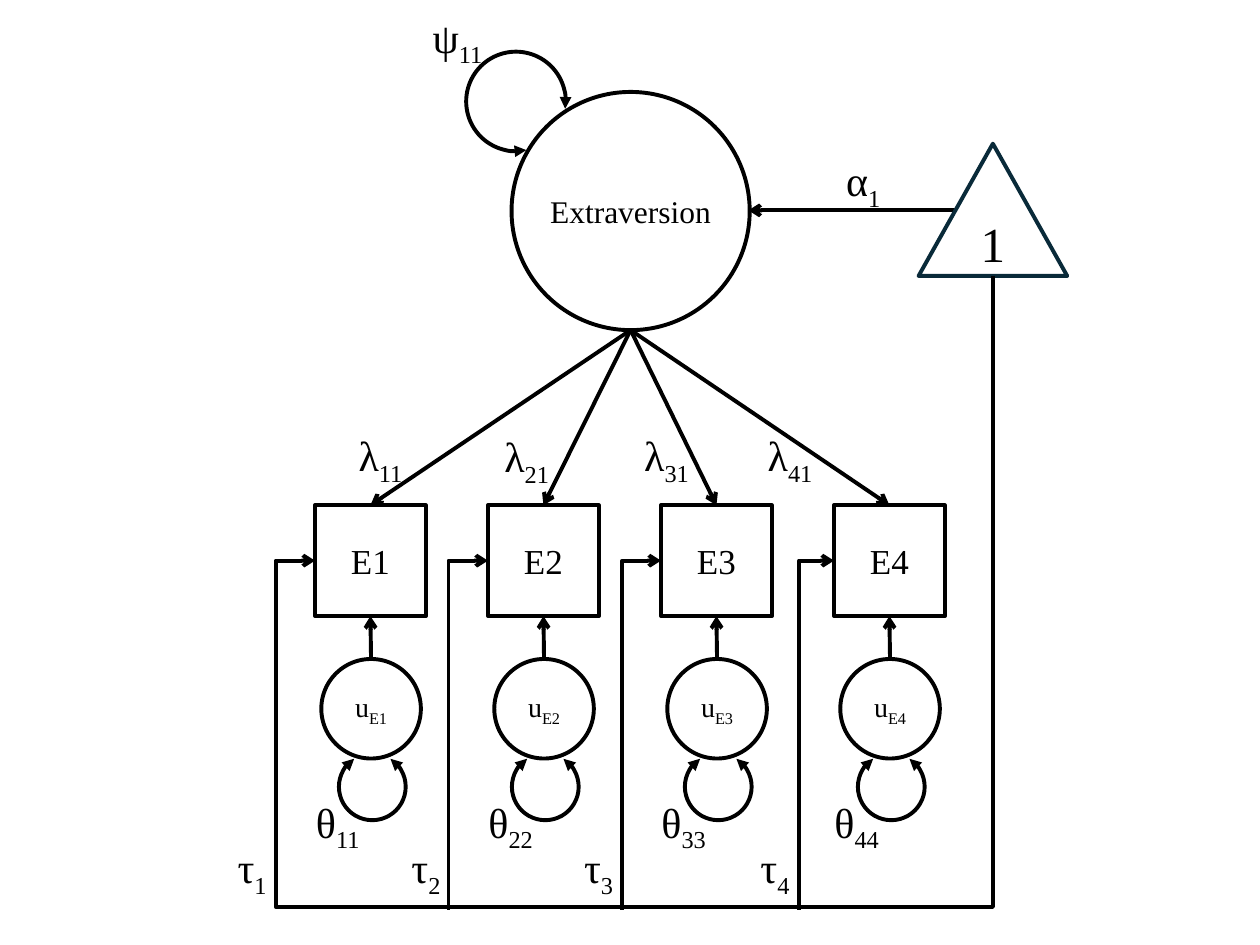
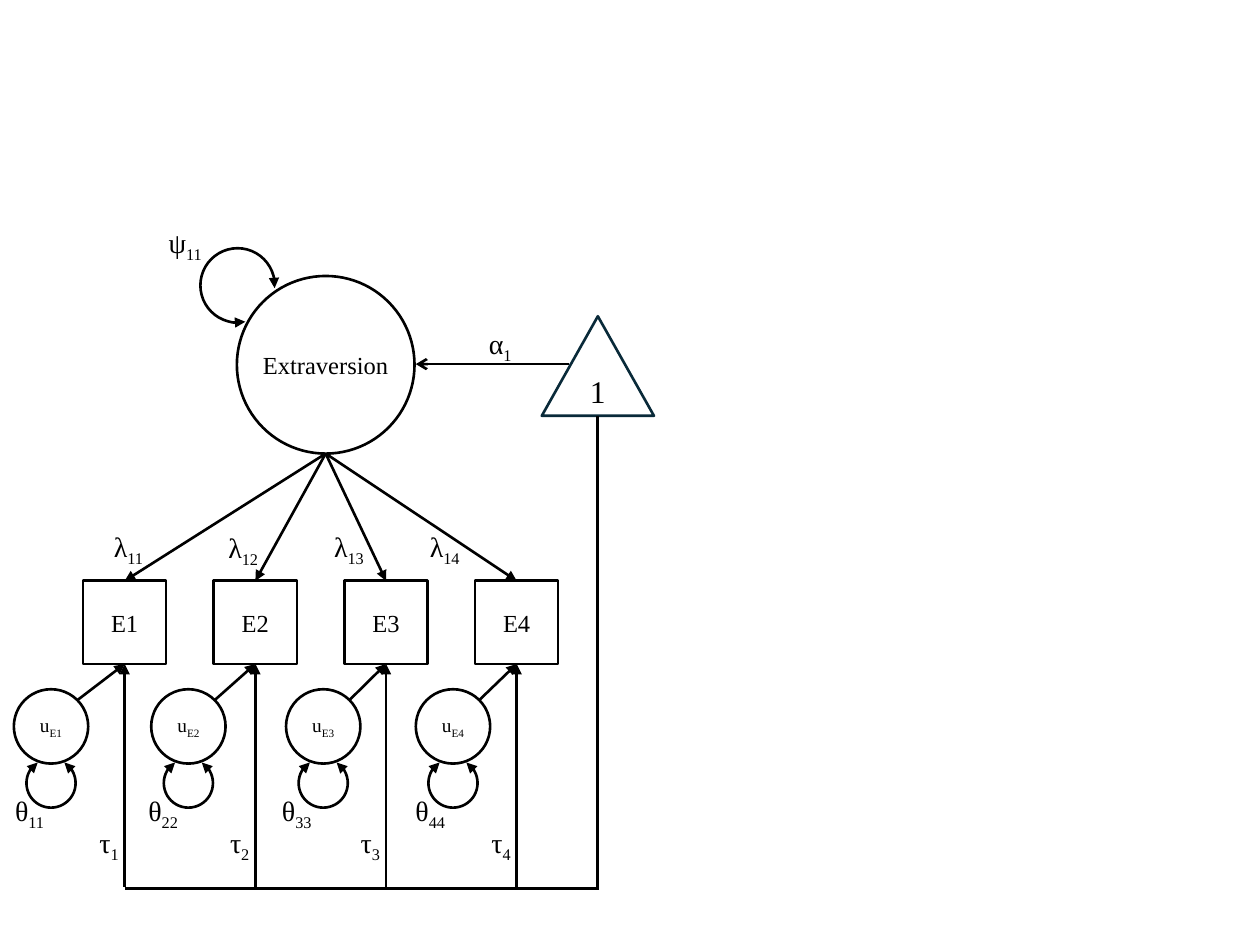
from lxml import etree
from pptx import Presentation
from pptx import util as u
from pptx.dml.color import RGBColor
from pptx.enum import shapes, text
from pptx.oxml import ns

COLORS = {"ink": "000000", "paper": "FFFFFF", "constant": "092A39"}
FONT = "Times New Roman"
SHAPE = shapes.MSO_SHAPE
LINK = shapes.MSO_CONNECTOR

deck = Presentation()
deck.slide_width, deck.slide_height = u.Inches(10), u.Inches(7.5)
COL, ROW = deck.slide_width / 100, deck.slide_height / 75  # grid of 100 x 75


def draw(page, kind, place, weight, color="ink", head=None, tail=None):
    """Shapes take left, top, width, height; connectors take both end points."""
    spots = [int(value * step) for value, step in zip(place, (COL, ROW, COL, ROW))]
    is_link = isinstance(kind, LINK)
    if is_link:
        item = page.shapes.add_connector(kind, *spots)
    else:
        item = page.shapes.add_shape(kind, *spots)
        item.shadow.inherit = False
        if kind == SHAPE.ARC:
            item.fill.background()
        else:
            item.fill.solid()
            item.fill.fore_color.rgb = RGBColor.from_string(COLORS["paper"])
    item.line.width = u.Pt(weight)
    item.line.color.rgb = RGBColor.from_string(COLORS[color])
    outline = item._element.spPr.find(ns.qn("a:ln"))
    for tag, style in (("a:headEnd", head), ("a:tailEnd", tail)):
        if style:
            etree.SubElement(outline, ns.qn(tag), type=style)
    if is_link:
        etree.SubElement(item._element.spPr, ns.qn("a:effectLst"))
    return item


def write(page, item, size, main, sub=""):
    """Centre a symbol and its subscript in a shape, or in a new label at a place."""
    if isinstance(item, tuple):
        left, top, width, height = item
        item = page.shapes.add_textbox(int(left * COL), int(top * ROW),
                                       int(width * COL), int(height * ROW))
        item.text_frame.auto_size = text.MSO_AUTO_SIZE.SHAPE_TO_FIT_TEXT
    else:
        item.text_frame.vertical_anchor = text.MSO_ANCHOR.MIDDLE
    item.text_frame.word_wrap = True
    para = item.text_frame.paragraphs[0]
    para.alignment = text.PP_ALIGN.CENTER
    for words, baseline in ((main, None), (sub, "-25000")):
        if words:
            span = para.add_run()
            span.text = words
            span.font.name, span.font.size = FONT, u.Pt(size)
            span.font.color.rgb = RGBColor.from_string(COLORS["ink"])
            if baseline:
                span.font._element.set("baseline", baseline)


# Both path diagrams, measured in grid columns and rows
models = [
    dict(weight=2.25, loading_head="arrow", error_head="arrow",
         factor=(40.6, 7.3, 18.9, 18.9), factor_size=18,
         factor_loop=(37, 4.1, 7.9, 7.9), factor_gap=140.1,
         constant=(72.9, 11.4, 11.8, 10.5), constant_size=28,
         mean_path=(75.8, 16.7, 59.4, 16.7),
         label_size=24, label_height=5, label_widths=(7.2, 6.2, 5.2),
         psi=(32.7, 0.4), alpha=(64.9, 11.8),
         items=[25 + 13.73 * n for n in range(4)], item_top=40.1, item_side=8.8, item_size=20,
         loadings=("11", "21", "31", "41"),
         lambdas=(26.6, 38.2, 49.3, 59.1), lambda_top=33.6,
         errors=[25.5 + 13.73 * n for n in range(4)], error_top=52.3, error_side=7.9,
         error_size=16, error_exit=(3.95, 0),
         loop=(1.4, 7.5, 5.3),
         thetas=[23.7 + 13.73 * n for n in range(4)], theta_top=62.7,
         taus=(17.4, 31.2, 44.9, 58.9), tau_top=66.3),
    dict(weight=1.5, loading_head="triangle", error_head="triangle",
         factor=(18.8, 21.9, 14.1, 14.1), factor_size=14,
         factor_loop=(15.9, 19.7, 5.9, 5.9), factor_gap=137.56,
         constant=(43, 25.1, 8.9, 7.9), constant_size=18,
         mean_path=(45.2, 28.9, 33, 28.9),
         label_size=16, label_height=3.7, label_widths=(5.4, 4.7, 3.9),
         psi=(12, 17.4), alpha=(37, 25.4),
         items=[6.6 + 10.37 * n for n in range(4)], item_top=46.1, item_side=6.6, item_size=14,
         loadings=("11", "12", "13", "14"),
         lambdas=(7.5, 16.6, 25, 32.6), lambda_top=41.5,
         errors=(1.1, 12, 22.7, 33), error_top=54.7, error_side=5.9,
         error_size=11, error_exit=(5, 0.9),
         loop=(1, 5.5, 3.9),
         thetas=[10.6 * n for n in range(4)], theta_top=62.5,
         taus=[6.7 + 10.37 * n for n in range(4)], tau_top=65),
]

pages = []
for model in models:
    page = deck.slides.add_slide(deck.slide_layouts[6])
    pages.append(page)
    weight, size, height = model["weight"], model["label_size"], model["label_height"]
    wide, medium, narrow = model["label_widths"]
    left, top, width, _ = model["factor"]
    apex = (left + width / 2, top + width)
    side, bottom = model["item_side"], model["item_top"] + model["item_side"]

    # Loadings run behind the factor
    for item_left in model["items"]:
        draw(page, LINK.STRAIGHT, (*apex, item_left + side / 2, model["item_top"]),
             weight, tail=model["loading_head"])

    # Factor with its variance loop
    factor = draw(page, SHAPE.OVAL, model["factor"], weight)
    write(page, factor, model["factor_size"], "Extraversion")
    factor.text_frame.margin_left = factor.text_frame.margin_right = 0
    loop = draw(page, SHAPE.ARC, model["factor_loop"], weight, head="triangle", tail="triangle")
    loop.adjustments[0], loop.adjustments[1] = 181.77, model["factor_gap"]
    loop.rotation = 135
    write(page, (*model["psi"], wide, height), size, "ψ", "11")

    # Factor mean
    draw(page, LINK.STRAIGHT, model["mean_path"], weight, tail="arrow")
    write(page, (*model["alpha"], wide, height), size, "α", "1")

    # Items, errors and their labels
    for n in range(4):
        item_left, error_left = model["items"][n], model["errors"][n]
        number = str(n + 1)
        box = draw(page, SHAPE.RECTANGLE, (item_left, model["item_top"], side, side), weight)
        write(page, box, model["item_size"], "E" + number)
        write(page, (model["lambdas"][n], model["lambda_top"] + (n == 1) * 0.1, wide, height),
              size, "λ", model["loadings"][n])

        error_top, error_side = model["error_top"], model["error_side"]
        error = draw(page, SHAPE.OVAL, (error_left, error_top, error_side, error_side), weight)
        write(page, error, model["error_size"], "u", "E" + number)
        exit_x, exit_y = model["error_exit"]
        draw(page, LINK.STRAIGHT,
             (error_left + exit_x, error_top + exit_y, item_left + side / 2, bottom),
             weight, tail=model["error_head"])
        shift_x, shift_y, loop_side = model["loop"]
        loop = draw(page, SHAPE.ARC,
                    (error_left + shift_x, error_top + shift_y, loop_side, loop_side),
                    weight, head="triangle", tail="triangle")
        loop.adjustments[0], loop.adjustments[1] = 181.77, 142.28

        write(page, (model["thetas"][n], model["theta_top"], medium, height),
              size, "θ", number * 2)
        write(page, (model["taus"][n], model["tau_top"], narrow, height), size, "τ", number)

    # Constant
    constant = draw(page, SHAPE.ISOSCELES_TRIANGLE, model["constant"], weight, "constant")
    write(page, constant, model["constant_size"], "1")

# Slide 1: intercept paths enter the items from the left
first, second = pages
trunk = draw(first, LINK.ELBOW, (40.6, 6.3, 63.2, 60.1), 2.25, tail="arrow")
trunk._element.spPr.find(ns.qn("a:xfrm")).set("rot", "5400000")
geometry = trunk._element.spPr.find(ns.qn("a:prstGeom"))
geometry.set("prst", "bentConnector4")
guides = geometry.find(ns.qn("a:avLst"))
for name, value in (("adj1", 221600), ("adj2", 105800)):
    etree.SubElement(guides, ns.qn("a:gd"), name=name, fmla=f"val {value}")
for item_left, branch_x in zip(models[0]["items"][1:], (35.6, 49.4, 63.4)):
    branch = draw(first, LINK.ELBOW, (item_left, 44.5, branch_x, 72.2), 2.25, head="arrow")
    branch._element.spPr.find(ns.qn("a:prstGeom")).set("prst", "bentConnector2")

# Slide 2: intercept paths enter the items from below
for item_left in models[1]["items"]:
    center = item_left + models[1]["item_side"] / 2
    draw(second, LINK.STRAIGHT, (center, 52.7, center, 70.4), 1.5, head="triangle")
draw(second, LINK.STRAIGHT, (9.9, 70.5, 47.5, 70.5), 1.5)
draw(second, LINK.STRAIGHT, (47.4, 33, 47.4, 70.6), 1.5)

deck.save("out.pptx")
